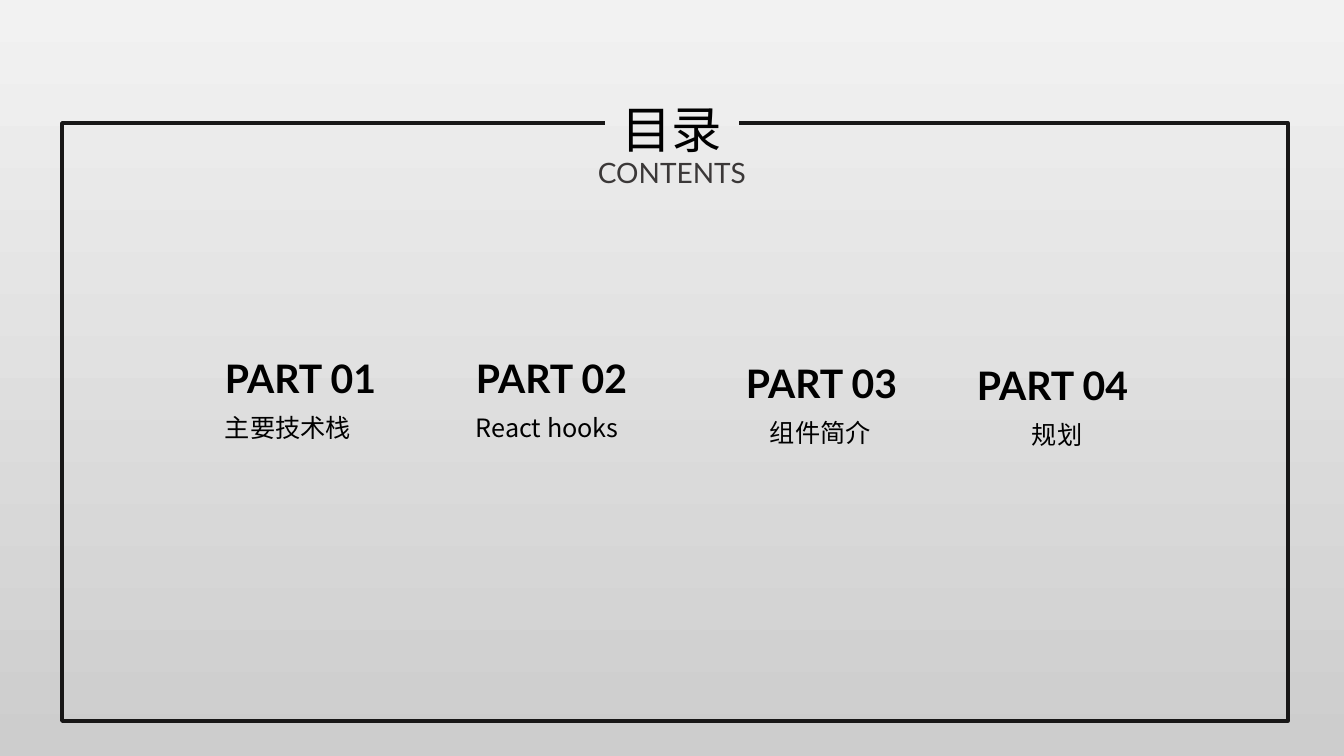
from lxml import etree
from pptx import Presentation
from pptx.dml.color import RGBColor
from pptx.enum.shapes import MSO_SHAPE
from pptx.enum.text import MSO_ANCHOR, MSO_AUTO_SIZE, PP_ALIGN
from pptx.oxml.ns import qn
from pptx.util import Emu, Pt

SCALE = 914400 / 100.8
COLORS = {"top": "F2F2F2", "bottom": "CDCDCD", "frame": "181717",
          "text": "000000", "subtitle": "3B3838"}
LATIN, CHINESE = "Lato", "Noto Sans CJK SC"


def px(*lengths):
    return [Emu(round(length * SCALE)) for length in lengths]


def write(box, text, size, font, color="text", bold=False, align=PP_ALIGN.LEFT):
    frame = box.text_frame
    frame.text = text
    frame.word_wrap = True
    frame.auto_size = MSO_AUTO_SIZE.NONE
    frame.vertical_anchor = MSO_ANCHOR.MIDDLE
    para = frame.paragraphs[0]
    para.alignment = align
    span = para.runs[0]
    span.font.size = Pt(size)
    span.font.bold = bold
    span.font.name = font
    span.font.color.rgb = RGBColor.from_string(COLORS[color])
    etree.SubElement(span.font._element, qn("a:ea")).set("typeface", font)


deck = Presentation()
deck.slide_width, deck.slide_height = px(1344, 756)
page = deck.slides.add_slide(deck.slide_layouts[5])

# Background gradient
backdrop = page.background.fill
backdrop.gradient()
backdrop.gradient_angle = 270
for stop, name in zip(backdrop.gradient_stops, ("top", "bottom")):
    stop.color.rgb = RGBColor.from_string(COLORS[name])

# Frame
border = page.shapes.add_shape(MSO_SHAPE.RECTANGLE, *px(62, 123, 1226, 598))
border.shadow.inherit = False
border.fill.background()
border.line.color.rgb = RGBColor.from_string(COLORS["frame"])
border.line.width = Pt(2.5)

# Title, in front of the frame and filled with the slide background
title = page.shapes.title
title.left, title.top, title.width, title.height = px(605, 92, 134, 72)
title._element.set("useBgFill", "1")
page.shapes._spTree.append(title._element)
write(title, "目录", 36, CHINESE, align=PP_ALIGN.CENTER)

subtitle = page.shapes.add_textbox(*px(565, 150, 214, 44))
write(subtitle, "CONTENTS", 20, LATIN, "subtitle", align=PP_ALIGN.CENTER)

# Parts: heading left, top, width; topic, its left and width
parts = [
    (215, 349, 179, "主要技术栈", 215, 179),
    (466, 349, 198, "React hooks", 466, 198),
    (736, 354, 198, "组件简介", 760, 129),
    (967, 356, 198, "规划", 1022, 129),
]
for number, (left, top, width, topic, topic_left, topic_width) in enumerate(parts, 1):
    rows = [
        ((left, top, width, 58), f"PART {number:02}", 28, LATIN, True),
        ((topic_left, top + 58, topic_width, 40), topic, 18, CHINESE, False),
    ]
    for place, text, size, font, bold in rows:
        box = page.shapes.add_shape(MSO_SHAPE.RECTANGLE, *px(*place))
        box.shadow.inherit = False
        box.line.fill.background()
        box._element.set("useBgFill", "1")
        write(box, text, size, font, bold=bold)

deck.save("out.pptx")
